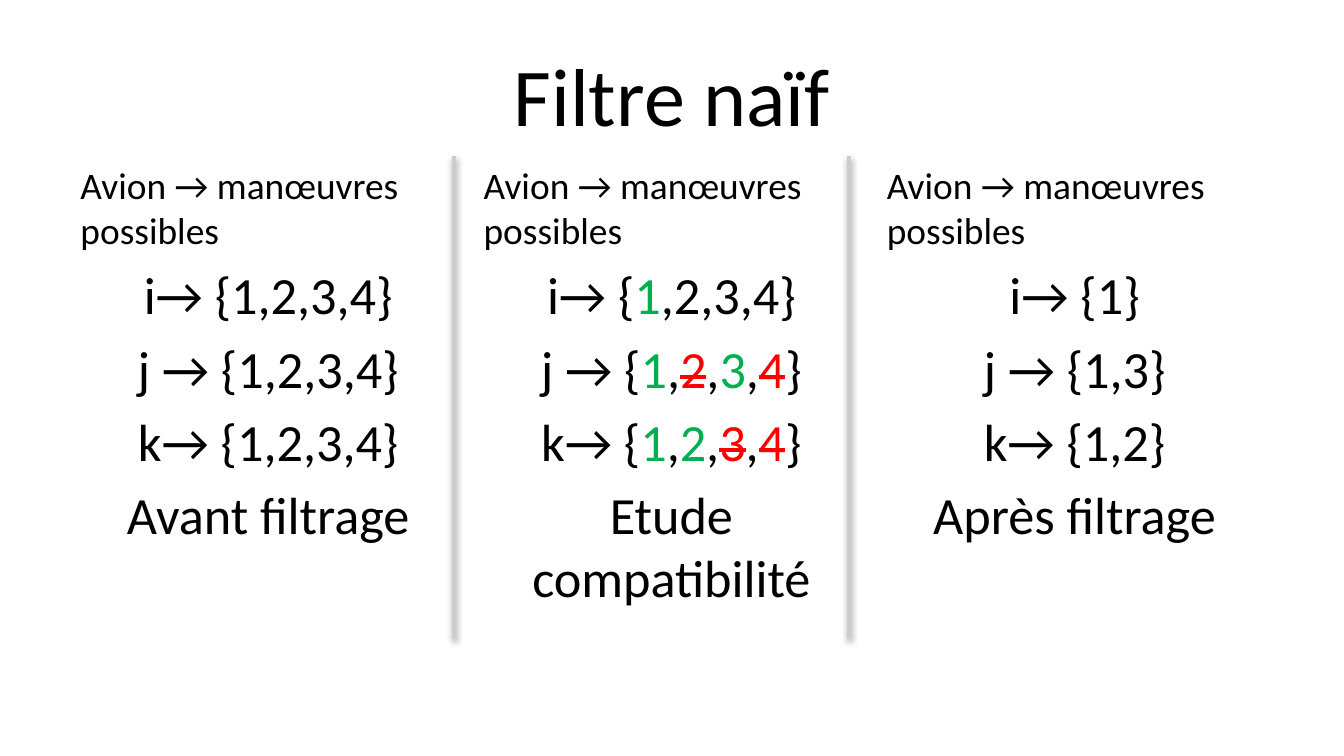
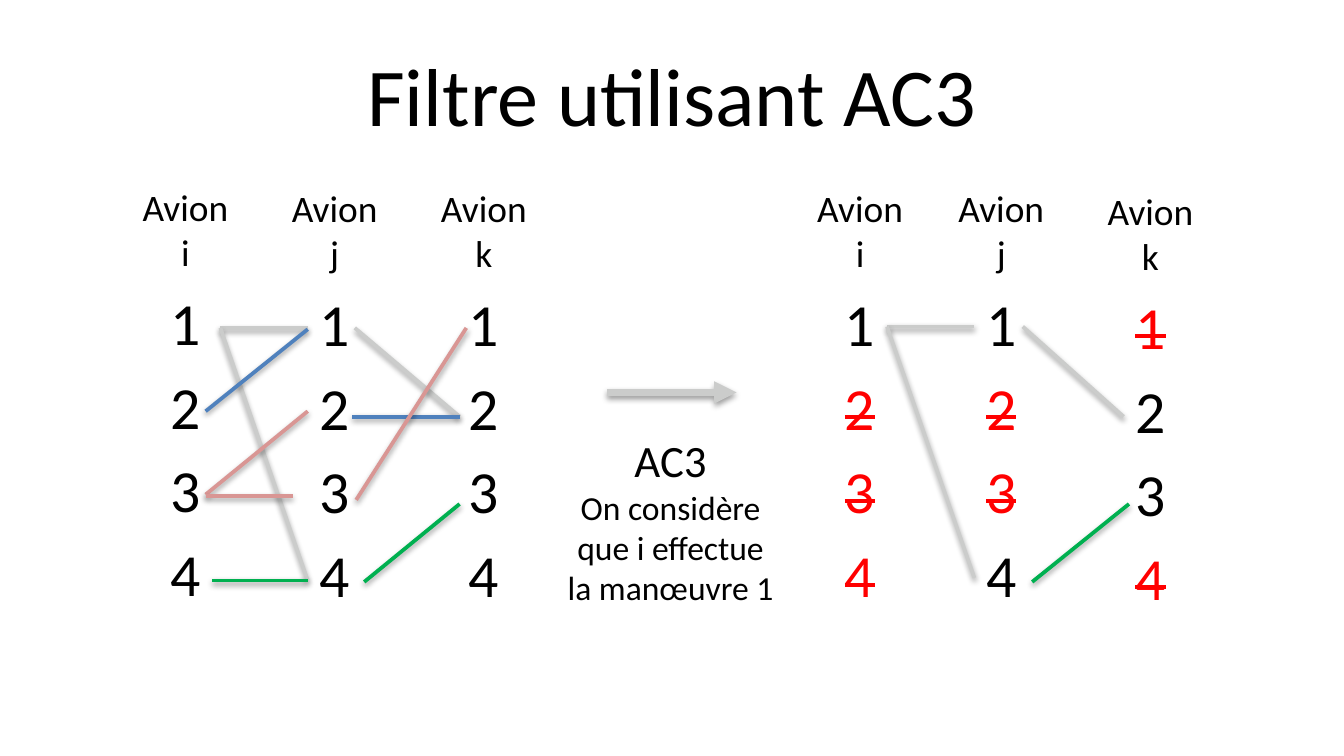
"""Build two slides that explain the naive filter and the AC3 filter."""
from dataclasses import dataclass
from typing import NamedTuple

from lxml.etree import SubElement
from pptx import Presentation
from pptx.dml.color import RGBColor
from pptx.enum.shapes import MSO_CONNECTOR
from pptx.enum.text import MSO_ANCHOR, MSO_AUTO_SIZE, PP_ALIGN
from pptx.oxml import parse_xml
from pptx.oxml.ns import nsdecls, qn
from pptx.slide import Slide
from pptx.util import Inches, Pt


@dataclass(frozen=True)
class Theme:
    """Hold the colours and the type sizes."""

    font: str = "Calibri"
    ink: str = "000000"
    keep: str = "00B050"
    drop: str = "FF0000"
    gray: str = "CBCCCB"
    blue: str = "4F81BD"
    pink: str = "D99694"
    title: int = 44
    digit: int = 32
    body: int = 28
    name: int = 24
    head: int = 20
    note: int = 18
    line: int = 2
    arrow: int = 4


class Box(NamedTuple):
    """Place a text box, in inches."""

    left: float
    top: float
    width: float
    height: float


class Para(NamedTuple):
    """Describe a paragraph, with its gap in percent."""

    text: str
    size: int
    align: PP_ALIGN = PP_ALIGN.CENTER
    gap: int = 20


class Link(NamedTuple):
    """Describe a coloured line, in inches."""

    x1: float
    y1: float
    x2: float
    y2: float
    color: str


THEME = Theme()
MARKS = {"+": THEME.keep, "-": THEME.drop}
SHADOW = (
    f'<a:effectLst {nsdecls("a")}><a:outerShdw blurRad="40000" dist="20000" '
    'dir="5400000" rotWithShape="0"><a:srgbClr val="000000">'
    '<a:alpha val="38000"/></a:srgbClr></a:outerShdw></a:effectLst>'
)


def split(text: str) -> list[tuple[str, str]]:
    """Cut text into runs, where + marks a kept digit and - a dropped one."""
    runs: list[tuple[str, str]] = []
    mark = ""
    for char in text:
        if char in MARKS:
            mark = char
        elif not mark and runs and not runs[-1][1]:
            runs[-1] = (runs[-1][0] + char, "")
        else:
            runs.append((char, mark))
            mark = ""
    return runs


def write(slide: Slide, box: Box, paras: list[Para], **extra: object) -> None:
    """Add a wrapped text box that holds the given paragraphs."""
    frame = slide.shapes.add_textbox(*map(Inches, box)).text_frame
    for key, value in {"word_wrap": True, **extra}.items():
        setattr(frame, key, value)
    for index, para in enumerate(paras):
        line = frame.add_paragraph() if index else frame.paragraphs[0]
        line.alignment = para.align
        if para.gap:
            space = SubElement(line._p.get_or_add_pPr(), qn("a:spcBef"))
            SubElement(space, qn("a:spcPct")).set("val", str(para.gap * 1000))
        for text, mark in split(para.text):
            run = line.add_run()
            run.text = text
            for key, value in {"name": THEME.font, "size": Pt(para.size)}.items():
                setattr(run.font, key, value)
            run.font.color.rgb = RGBColor.from_string(MARKS.get(mark, THEME.ink))
            if mark == "-":
                run._r.get_or_add_rPr().set("strike", "sngStrike")


def draw(slide: Slide, link: Link, width: int = THEME.line, tip: bool = False) -> None:
    """Add a straight line with a soft shadow and maybe an arrowhead."""
    line = slide.shapes.add_connector(MSO_CONNECTOR.STRAIGHT, *map(Inches, link[:4]))
    line.line.color.rgb = RGBColor.from_string(link.color)
    line.line.width = Pt(width)
    if tip:
        SubElement(line.line._get_or_add_ln(), qn("a:tailEnd")).set("type", "triangle")
    line._element.spPr.append(parse_xml(SHADOW))


def start(deck: Presentation, title: str) -> Slide:
    """Add a blank slide with its title."""
    slide = deck.slides.add_slide(deck.slide_layouts[6])
    write(slide, Box(0.5, 0.23, 9, 0.94), [Para(title, THEME.title, gap=0)],
          vertical_anchor=MSO_ANCHOR.MIDDLE)
    return slide


def naive(deck: Presentation) -> None:
    """Draw the three stages of the naive filter."""
    slide = start(deck, "Filtre naïf")
    stages = [
        ("{1,2,3,4}", "{1,2,3,4}", "{1,2,3,4}", "Avant filtrage"),
        ("{+1,2,3,4}", "{+1,-2,+3,-4}", "{+1,+2,-3,-4}", "Etude compatibilité"),
        ("{1}", "{1,3}", "{1,2}", "Après filtrage"),
    ]
    for index, (first, second, third, label) in enumerate(stages):
        rows = [f"i→ {first}", f"j → {second}", f"k→ {third}", label]
        head = Para("Avion → manœuvres possibles", THEME.head, PP_ALIGN.LEFT)
        write(slide, Box(0.5 + 3 * index, 1.16, 2.99, 3.71),
              [head] + [Para(row, THEME.body) for row in rows])
    for x in (3.38, 6.32):
        draw(slide, Link(x, 1.16, x, 4.75, THEME.gray))


def arcs(deck: Presentation) -> None:
    """Draw the links between planes before and after AC3."""
    slide = start(deck, "Filtre utilisant AC3")
    planes = [
        ("i", 0.91, 1.32, ["1", "2", "3", "4"]),
        ("j", 2.02, 1.33, ["1", "2", "3", "4"]),
        ("k", 3.13, 1.33, ["1", "2", "3", "4"]),
        ("k", 8.09, 1.35, ["-1", "2", "3", "-4"]),
        ("j", 6.98, 1.33, ["1", "-2", "-3", "4"]),
        ("i", 5.93, 1.33, ["1", "-2", "-3", "-4"]),
    ]
    for name, left, top, moves in planes:
        write(slide, Box(left, top, 0.94, 3.71),
              [Para(f"Avion {name}", THEME.head)]
              + [Para(move, THEME.digit) for move in moves])
    draw(slide, Link(4.52, 2.92, 5.48, 2.92, THEME.gray), THEME.arrow, True)
    write(slide, Box(4.11, 3.17, 1.76, 1.41),
          [Para("AC3", THEME.name, gap=0),
           Para("On considère que i effectue la manœuvre 1", THEME.note, gap=0)],
          auto_size=MSO_AUTO_SIZE.SHAPE_TO_FIT_TEXT)
    links = [
        Link(1.64, 2.44, 2.29, 2.44, THEME.gray),
        Link(1.64, 2.44, 2.29, 4.32, THEME.gray),
        Link(1.53, 3.06, 2.29, 2.45, THEME.blue),
        Link(1.53, 3.68, 2.29, 3.06, THEME.pink),
        Link(1.53, 3.69, 2.18, 3.69, THEME.pink),
        Link(1.58, 4.32, 2.29, 4.32, THEME.keep),
        Link(2.64, 2.44, 3.42, 3.1, THEME.gray),
        Link(2.62, 3.1, 3.42, 3.1, THEME.blue),
        Link(2.65, 3.72, 3.47, 2.44, THEME.pink),
        Link(2.71, 4.33, 3.42, 3.75, THEME.keep),
        Link(6.6, 2.43, 7.25, 2.43, THEME.gray),
        Link(6.6, 2.43, 7.25, 4.3, THEME.gray),
        Link(7.61, 2.43, 8.36, 3.1, THEME.gray),
        Link(7.68, 4.33, 8.4, 3.75, THEME.keep),
    ]
    for link in links:
        draw(slide, link)


def main() -> None:
    """Build and save the deck."""
    deck = Presentation()
    width = 10
    for key, value in {"slide_width": width, "slide_height": width * 9 / 16}.items():
        setattr(deck, key, Inches(value))
    naive(deck)
    arcs(deck)
    deck.save("out.pptx")


main()
